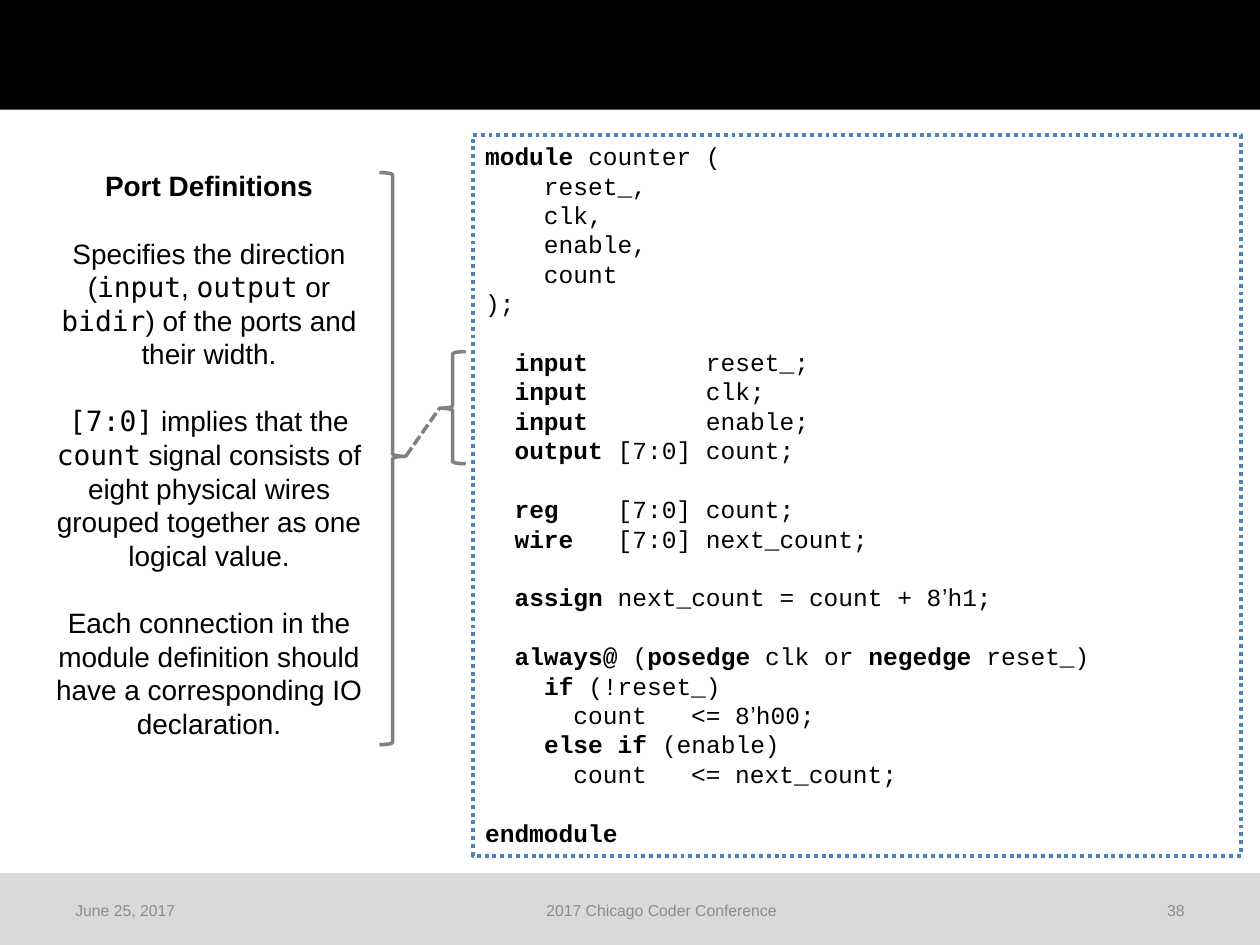
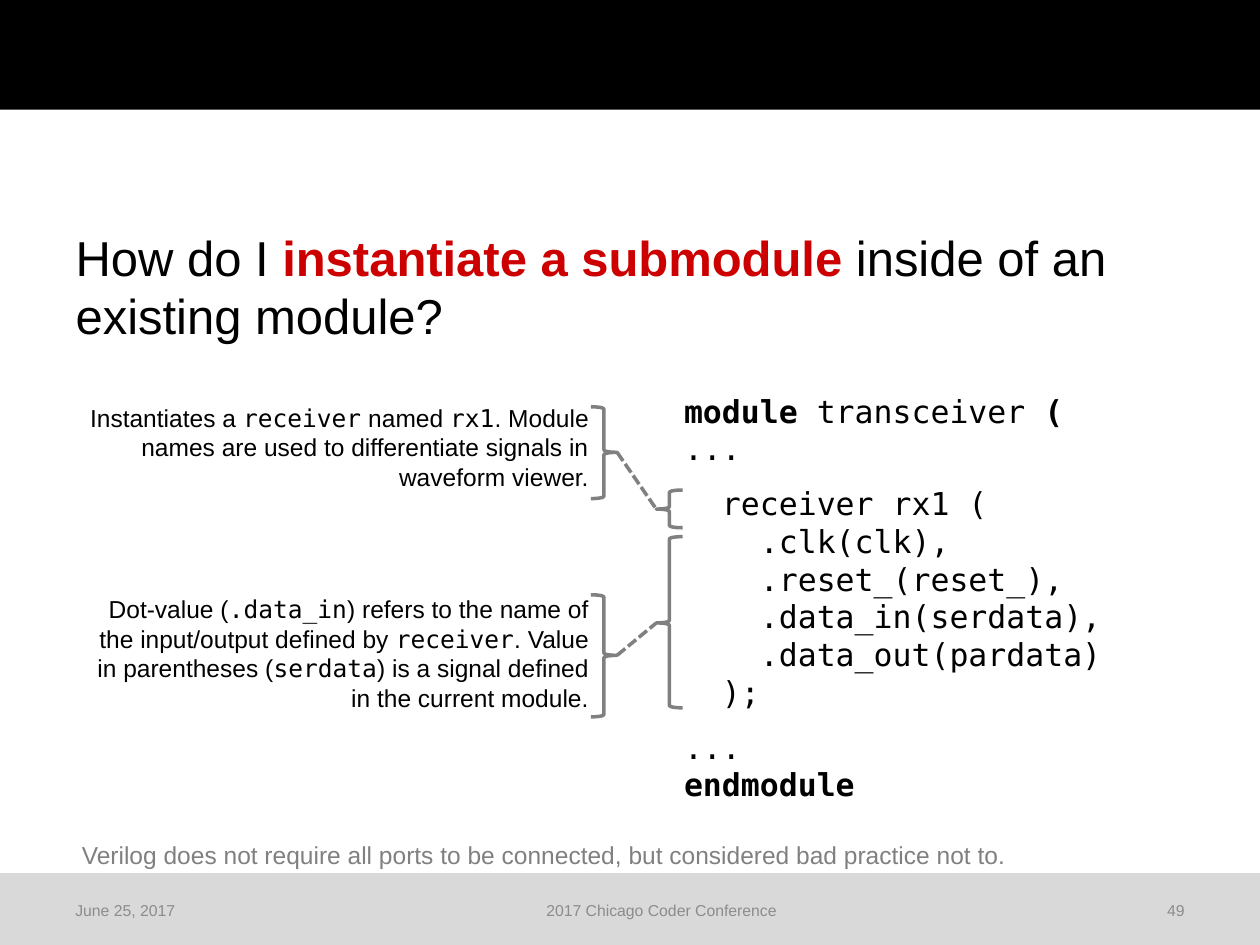
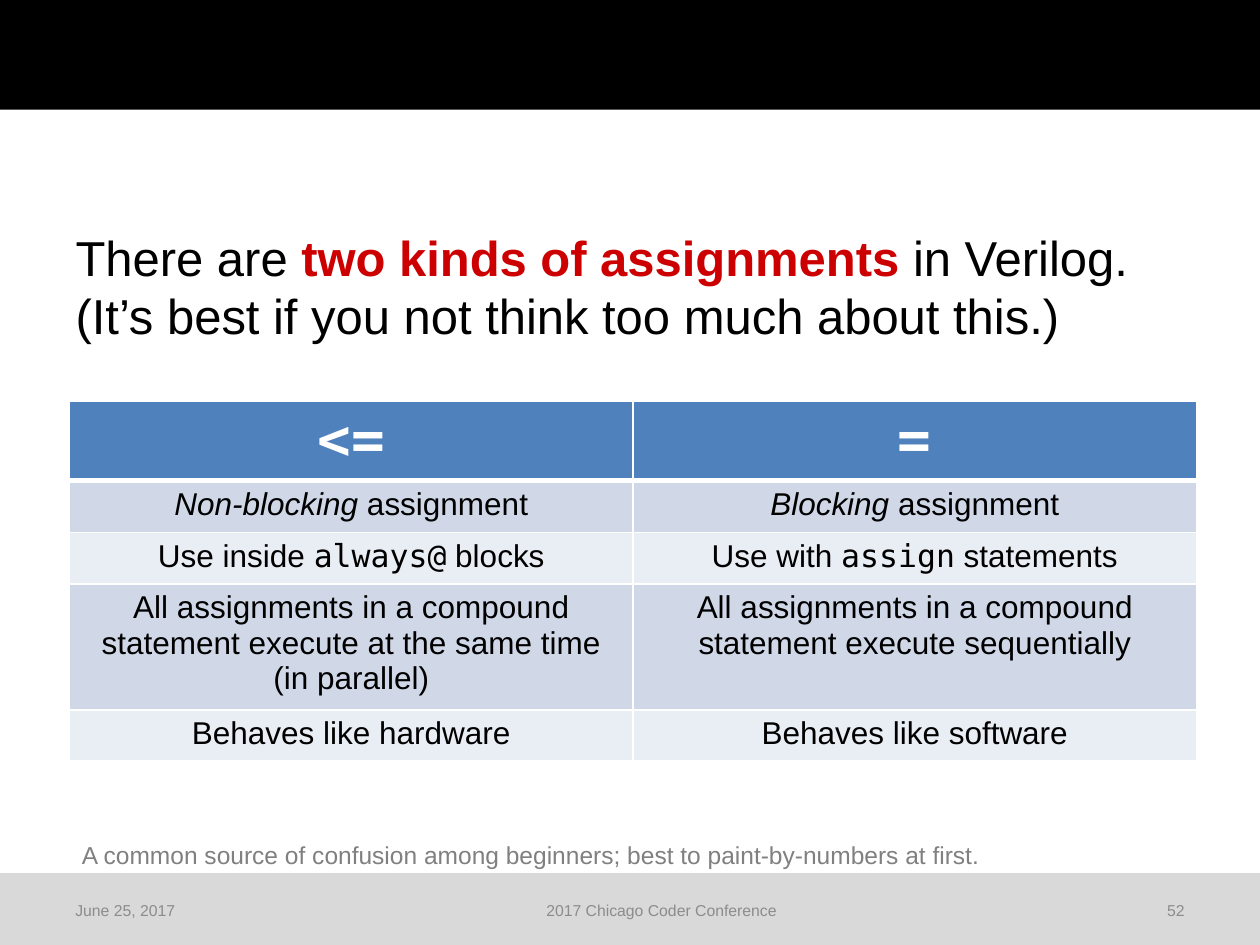
from lxml.etree import SubElement
from pptx import Presentation
from pptx.dml.color import RGBColor
from pptx.enum.dml import MSO_LINE
from pptx.enum.shapes import MSO_CONNECTOR, MSO_SHAPE
from pptx.enum.text import MSO_ANCHOR, PP_ALIGN
from pptx.oxml.ns import qn
from pptx.util import Cm, Pt

# Colours and fonts
BLACK = RGBColor(0x00, 0x00, 0x00)
WHITE = RGBColor(0xFF, 0xFF, 0xFF)
RED = RGBColor(0xCC, 0x00, 0x00)
BLUE = RGBColor(0x4F, 0x81, 0xBD)
GRAY = RGBColor(0x80, 0x80, 0x80)
FOOTER_GRAY = RGBColor(0x8C, 0x8C, 0x8C)
BAND_GRAY = RGBColor(0xD9, 0xD9, 0xD9)
ROW_FILLS = (RGBColor(0xD0, 0xD8, 0xE8), RGBColor(0xE9, 0xED, 0xF4))
SANS, CODE, MONO = "Arial", "Courier New", "DejaVu Sans Mono"

# Inline markers: each one switches its format on, then off again
MARKS = {
    "*": {"bold": True},
    "~": {"italic": True},
    "`": {"name": MONO},
    "|": {"name": SANS},
    "^": {"bold": True, "color": RED},
}

# Shared layout, in centimetres
PAGE_WIDTH, PAGE_HEIGHT = 25.4, 19.05
TOP_BAND, BOTTOM_BAND = 2.21, 1.45
BRACE_WIDTH = 0.53
BRACE_CURVE, BRACE_TIP = 0.083, 0.504
LINE_HEIGHT = 1.2
DATE, EVENT = "June 25, 2017", "2017 Chicago Coder Conference"

# Slide 1: port definitions
COUNTER_CODE = [
    "*module* counter (",
    "    reset_,",
    "    clk,",
    "    enable,",
    "    count",
    ");",
    "",
    "  *input*        reset_;",
    "  *input*        clk;",
    "  *input*        enable;",
    "  *output* [7:0] count;",
    "",
    "  *reg*    [7:0] count;",
    "  *wire*   [7:0] next_count;",
    "",
    "  *assign* next_count = count + 8|’|h1;",
    "",
    "  *always@* (*posedge* clk or *negedge* reset_)",
    "    *if* (!reset_)",
    "      count   <= 8|’|h00;",
    "    *else if* (enable)",
    "      count   <= next_count;",
    "",
    "*endmodule*",
]
PORT_NOTES = [
    "*Port Definitions*",
    "",
    "Specifies the direction (`input`, `output` or `bidir`) of the ports and their width.",
    "",
    "`[7:0]` implies that the `count` signal consists of eight physical wires "
    "grouped together as one logical value.",
    "",
    "Each connection in the module definition should have a corresponding IO declaration.",
]

# Slide 2: submodules
SUBMODULE_QUESTION = "How do I ^instantiate a submodule ^inside of an existing module?"
TRANSCEIVER_CODE = [
    "*module *transceiver* (*",
    "...",
    "",
    "  receiver rx1 (",
    "    .clk(clk),",
    "    .reset_(reset_),",
    "    .data_in(serdata),",
    "    .data_out(pardata)",
    "  );",
    "",
    "...",
    "*endmodule*",
]
# Note, its box (top, height), its brace and the brace at the code (top, height)
SUBMODULE_NOTES = [
    ("Instantiates a `receiver` named `rx1`. Module names are used to "
     "differentiate signals in waveform viewer.",
     (8.0, 2.06), (8.2, 1.85), (9.88, 0.76)),
    ("Dot-value (`.data_in`) refers to the name of the input/output defined by "
     "`receiver`. Value in parentheses (`serdata`) is a signal defined in the "
     "current module.",
     (11.86, 2.64), (11.99, 2.46), (10.82, 3.45)),
]
SUBMODULE_REMARK = ("Verilog does not require all ports to be connected, "
                    "but considered bad practice not to.")

# Slide 3: assignments
ASSIGNMENT_STATEMENT = ("There are ^two kinds of assignments ^in Verilog. "
                        "(It’s best if you not think too much about this.)")
ASSIGNMENT_ROWS = [
    ("*<=*", "*=*"),
    ("~Non-blocking ~assignment", "~Blocking~ assignment"),
    ("Use inside `always@` blocks", "Use with `assign` statements"),
    ("All assignments in a compound statement execute at the same time (in parallel)",
     "All assignments in a compound statement execute sequentially"),
    ("Behaves like hardware", "Behaves like software"),
]
ROW_HEIGHTS = (1.51, 1.04, 1.04, 2.36, 1.02)
ASSIGNMENT_REMARK = ("A common source of confusion among beginners; "
                     "best to paint-by-numbers at first.")


def set_values(target, values):
    for name, value in values.items():
        setattr(target, name, value)


def place(*lengths):
    return [Cm(length) for length in lengths]


def split_marks(line):
    """Yield each stretch of text with the formats in force there."""
    active, text = [], ""
    for letter in line:
        if letter not in MARKS:
            text += letter
            continue
        if text:
            yield text, list(active)
        text = ""
        if letter in active:
            active.remove(letter)
        else:
            active.append(letter)
    if text:
        yield text, active


def write(frame, lines, size, name=SANS, color=BLACK, align=PP_ALIGN.LEFT, gap=None):
    """Fill a frame; an empty line becomes space before the next paragraph."""
    paragraph, before = frame.paragraphs[0], 0
    for line in lines:
        if not line:
            before = gap or size * LINE_HEIGHT
            continue
        if paragraph is None:
            paragraph = frame.add_paragraph()
        set_values(paragraph, {"alignment": align, "space_before": Pt(before)})
        for text, marks in split_marks(line):
            span = paragraph.add_run()
            span.text = text
            values = {"size": Pt(size), "name": name, "bold": False,
                      "italic": False, "color": color}
            for mark in marks:
                values.update(MARKS[mark])
            span.font.color.rgb = values.pop("color")
            set_values(span.font, values)
        paragraph, before = None, 0


def add_text(page, position, lines, size, anchor=MSO_ANCHOR.TOP, **style):
    box = page.shapes.add_textbox(*place(*position))
    set_values(box.text_frame, {"word_wrap": True, "vertical_anchor": anchor})
    write(box.text_frame, lines, size, **style)


def add_shape(page, kind, position, fill=None, line=None, width=2):
    shape = page.shapes.add_shape(kind, *place(*position))
    shape.shadow.inherit = False
    if fill is None:
        shape.fill.background()
    else:
        shape.fill.solid()
        shape.fill.fore_color.rgb = fill
    if line is None:
        shape.line.fill.background()
    else:
        shape.line.color.rgb = line
        shape.line.width = Pt(width)
    return shape


def add_brace(page, left, top, height, rotation=0):
    """Draw a brace and return the height of its tip on the page."""
    position = (left, top, BRACE_WIDTH, height)
    brace = add_shape(page, MSO_SHAPE.LEFT_BRACE, position, line=GRAY)
    brace.rotation = rotation
    brace.adjustments[0], brace.adjustments[1] = BRACE_CURVE, BRACE_TIP
    return top + height * (1 - BRACE_TIP if rotation else BRACE_TIP)


def link_braces(page, note_left, note_span, code_left, code_span):
    """Join a brace beside a note to a brace beside the code it explains."""
    note_tip = add_brace(page, note_left, *note_span, rotation=180)
    code_tip = add_brace(page, code_left, *code_span)
    link = page.shapes.add_connector(
        MSO_CONNECTOR.STRAIGHT,
        *place(note_left + BRACE_WIDTH, note_tip, code_left, code_tip))
    link.line.color.rgb = GRAY
    set_values(link.line, {"width": Pt(2), "dash_style": MSO_LINE.SQUARE_DOT})
    SubElement(link.element.spPr, qn("a:effectLst"))


def add_page(deck, number, statement=None):
    """Start a slide with its bands, footer and, if given, its statement."""
    page = deck.slides.add_slide(deck.slide_layouts[1 if statement else 6])
    title = page.shapes.title
    title.element.getparent().remove(title.element) if title is not None else None
    if statement:
        body = page.placeholders[1]
        set_values(body, dict(zip(("left", "top", "width", "height"),
                                  place(1.27, 4.45, 22.86, 12.57))))
        properties = body.text_frame.paragraphs[0]._p.get_or_add_pPr()
        properties.set("marL", "0")
        properties.set("indent", "0")
        SubElement(properties, qn("a:buNone"))
        write(body.text_frame, [statement], 28)

    bottom = PAGE_HEIGHT - BOTTOM_BAND
    add_shape(page, MSO_SHAPE.RECTANGLE, (0, bottom, PAGE_WIDTH, BOTTOM_BAND), BAND_GRAY)
    add_shape(page, MSO_SHAPE.RECTANGLE, (0, 0, PAGE_WIDTH, TOP_BAND), BLACK)
    left = 1.27
    for text, width, align in ((DATE, 3.1, PP_ALIGN.LEFT),
                               (EVENT, 17.93, PP_ALIGN.CENTER),
                               (str(number), 1.83, PP_ALIGN.RIGHT)):
        add_text(page, (left, 17.83, width, 1.02), [text], 9,
                 anchor=MSO_ANCHOR.MIDDLE, color=FOOTER_GRAY, align=align)
        left += width
    return page


def add_remark(page, text):
    add_text(page, (1.4, 16.81, 22.6, 0.86), [text], 14, color=GRAY)


def set_borders(cell, bottom_width):
    properties = cell._tc.get_or_add_tcPr()
    for side, width in (("L", 1), ("R", 1), ("T", 1), ("B", bottom_width)):
        border = SubElement(properties, qn(f"a:ln{side}"), w=str(Pt(width)))
        fill = SubElement(border, qn("a:solidFill"))
        SubElement(fill, qn("a:srgbClr"), val=str(WHITE))


def build_ports(deck):
    page = add_page(deck, 38)
    frame = add_shape(page, MSO_SHAPE.RECTANGLE, (9.53, 2.72, 15.49, 14.53),
                      line=BLUE, width=2.25)
    frame.line.dash_style = MSO_LINE.ROUND_DOT
    set_values(frame.text_frame, {"word_wrap": True, "vertical_anchor": MSO_ANCHOR.TOP})
    write(frame.text_frame, COUNTER_CODE, 14, name=CODE)
    add_text(page, (0.53, 3.28, 7.37, 11.89), PORT_NOTES, 16, align=PP_ALIGN.CENTER)
    link_braces(page, 7.65, (3.48, 11.53), 8.86, (7.09, 2.26))


def build_submodule(deck):
    page = add_page(deck, 49, SUBMODULE_QUESTION)
    add_text(page, (13.54, 7.77, 10.59, 8.69), TRANSCEIVER_CODE, 18, name=MONO,
             gap=8 * LINE_HEIGHT)
    for text, (top, height), note_span, code_span in SUBMODULE_NOTES:
        add_text(page, (1.27, top, 10.85, height), [text], 14, align=PP_ALIGN.RIGHT)
        link_braces(page, 11.91, note_span, 13.23, code_span)
    add_remark(page, SUBMODULE_REMARK)


def build_assignments(deck):
    page = add_page(deck, 52, ASSIGNMENT_STATEMENT)
    table = page.shapes.add_table(
        len(ASSIGNMENT_ROWS), 2, *place(1.4, 8.08, 22.72, sum(ROW_HEIGHTS))).table
    table.horz_banding = False
    for index, texts in enumerate(ASSIGNMENT_ROWS):
        header = index == 0
        table.rows[index].height = Cm(ROW_HEIGHTS[index])
        style = ({"size": 32, "name": MONO, "color": WHITE} if header else {"size": 18})
        for column, text in enumerate(texts):
            cell = table.cell(index, column)
            set_borders(cell, 3 if header else 1)
            cell.fill.solid()
            cell.fill.fore_color.rgb = BLUE if header else ROW_FILLS[(index - 1) % 2]
            write(cell.text_frame, [text], align=PP_ALIGN.CENTER, **style)
    add_remark(page, ASSIGNMENT_REMARK)


def main():
    deck = Presentation()
    deck.slide_width, deck.slide_height = place(PAGE_WIDTH, PAGE_HEIGHT)
    build_ports(deck)
    build_submodule(deck)
    build_assignments(deck)
    deck.save("out.pptx")


if __name__ == "__main__":
    main()
